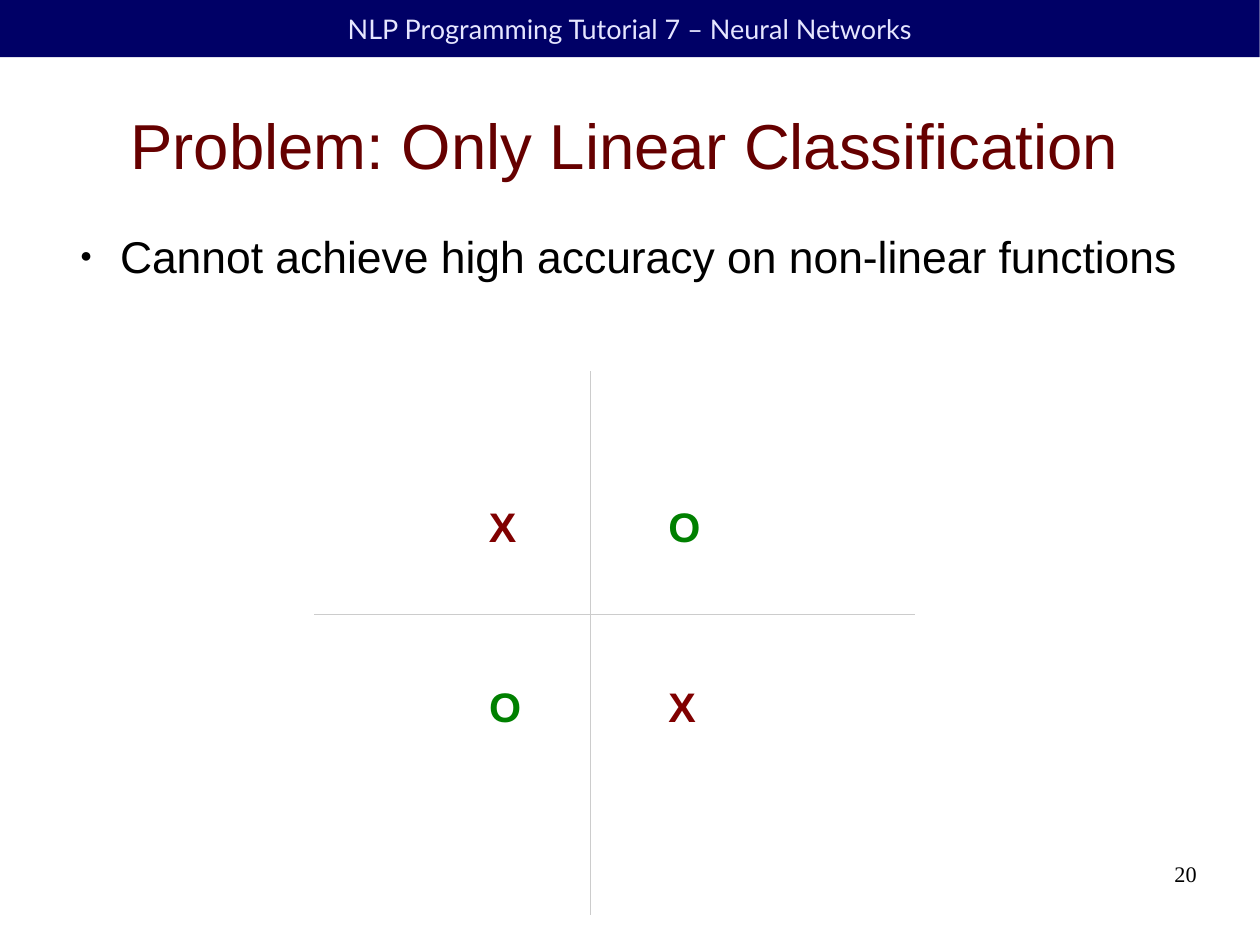
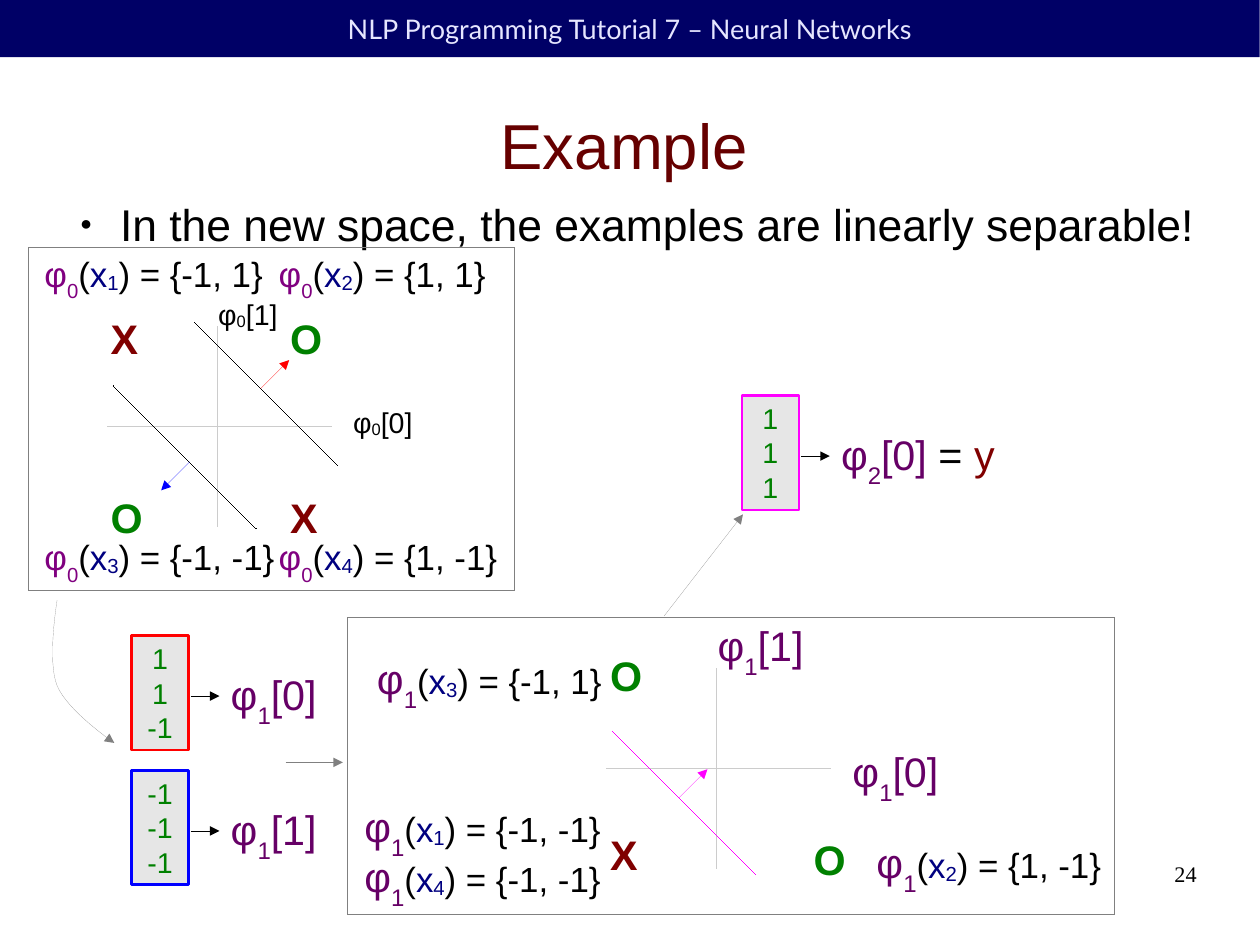
from lxml import etree
from pptx import Presentation
from pptx.dml.color import RGBColor
from pptx.enum.shapes import MSO_CONNECTOR, MSO_SHAPE
from pptx.enum.text import MSO_ANCHOR, MSO_AUTO_SIZE, PP_ALIGN
from pptx.oxml.ns import qn
from pptx.util import Cm, Inches, Pt

# Shared colours and styles
BLACK = RGBColor(0x00, 0x00, 0x00)
NAVY = RGBColor(0x00, 0x00, 0x66)
LAVENDER = RGBColor(0xE6, 0xE6, 0xFF)
MAROON = RGBColor(0x66, 0x00, 0x00)
DARK_RED = RGBColor(0x80, 0x00, 0x00)
GREEN = RGBColor(0x00, 0x80, 0x00)
BLUE_TEXT = RGBColor(0x00, 0x00, 0x80)
PURPLE = RGBColor(0x80, 0x00, 0x80)
PLUM = RGBColor(0x66, 0x00, 0x66)
RED = RGBColor(0xFF, 0x00, 0x00)
BLUE = RGBColor(0x00, 0x00, 0xFF)
MAGENTA = RGBColor(0xFF, 0x00, 0xFF)
GREY = RGBColor(0x80, 0x80, 0x80)
AXIS_GREY = RGBColor(0xCC, 0xCC, 0xCC)
PALE_GREY = RGBColor(0xE6, 0xE6, 0xE6)

LEFT, CENTER, RIGHT = PP_ALIGN.LEFT, PP_ALIGN.CENTER, PP_ALIGN.RIGHT
TOP, MIDDLE = MSO_ANCHOR.TOP, MSO_ANCHOR.MIDDLE
BANNER = "NLP Programming Tutorial 7 – Neural Networks"
SUBSCRIPT, SMALL_INDEX = -33, -8

# Content of the example slide
MARK_COLORS = {"X": DARK_RED, "O": GREEN}
# layer, example, values, left, top
MAPPINGS = [
    (0, 2, "1, 1", 2.34, 2.16), (0, 1, "-1, 1", 0.29, 2.16),
    (0, 4, "1, -1", 2.34, 4.64), (0, 3, "-1, -1", 0.29, 4.64),
    (1, 1, "-1, -1", 3.09, 6.96), (1, 2, "1, -1", 7.57, 7.28),
    (1, 3, "-1, 1", 3.2, 5.67), (1, 4, "-1, -1", 3.09, 7.4),
]
# layer, index, left, top
AXIS_LABELS = [(0, 0, 2.99, 3.49), (0, 1, 1.81, 2.55),
               (1, 0, 7.36, 6.48), (1, 1, 6.18, 5.38)]
# weights, outline, left, top, layer, index, text after the label
NEURONS = [
    (["1", "1", "-1"], RED, 1.15, 5.56, 1, 0, []),
    (["-1", "-1", "-1"], BLUE, 1.15, 6.74, 1, 1, []),
    (["1", "1", "1"], MAGENTA, 6.49, 3.46, 2, 0,
     [(" = ", 26, BLACK, 0), ("y", 26, DARK_RED, 0)]),
]
NEW_SPACE_MARKS = [("X", 5.24, 7.21), ("O", 7.02, 7.25), ("O", 5.24, 5.64)]
# left, top, line colour, arrow colour, direction
BOUNDARIES = [(1.7, 2.82, BLACK, RED, 1), (2.24, 4.62, BLACK, BLUE, -1),
              (5.36, 6.4, MAGENTA, MAGENTA, 1)]
FRAMES = [(0.25, 2.17, 4.25, 3), (3.04, 5.4, 6.71, 2.6)]
FLOW_ARROWS = [(2.5, 6.67, 3, 6.67), (5.81, 5.39, 6.5, 4.5)]
FLOW_CURVE = [
    [(0.5, 5.25), (0.5, 5.25), (0.41, 5.78), (0.5, 6)],
    [(0.5, 6), (0.59, 6.22), (1, 6.5), (1, 6.5)],
]


# Text
def write(shape, lines, font="Arial", align=LEFT, anchor=TOP,
          inset=(0.1, 0.05), wrap=False, bold=False):
    """Fill a shape; each line is a list of (text, size, colour, baseline)."""
    frame = shape.text_frame
    side, edge = map(Inches, inset)
    settings = {"margin_left": side, "margin_right": side, "margin_top": edge,
                "margin_bottom": edge, "word_wrap": wrap,
                "vertical_anchor": anchor, "auto_size": MSO_AUTO_SIZE.NONE}
    for name, value in settings.items():
        setattr(frame, name, value)
    for number, line in enumerate(lines):
        para = frame.add_paragraph() if number else frame.paragraphs[0]
        para.alignment = align
        for text, size, color, baseline in line:
            span = para.add_run()
            span.text = text
            for name, value in {"name": font, "size": Pt(size),
                                "bold": bold}.items():
                setattr(span.font, name, value)
            span.font.color.rgb = color
            if baseline:
                span._r.get_or_add_rPr().set("baseline", str(baseline * 1000))


def add_text(page, at, spans, **style):
    box = page.shapes.add_textbox(*map(Inches, at))
    write(box, [spans], **style)
    return box


def add_mark(page, mark, left, top):
    width = 0.44 if mark == "X" else 0.48
    add_text(page, (left, top, width, 0.5),
             [(mark, 26, MARK_COLORS[mark], 0)], bold=True)


def indexed(layer, index):
    """Spans of a label such as φ1[0]."""
    size, color, drop = ((26, PLUM, SUBSCRIPT) if layer
                         else (18, BLACK, SMALL_INDEX))
    return [("φ", size, color, 0), (str(layer), size, color, drop),
            (f"[{index}]", size, color, 0)]


def add_mapping(page, layer, example, values, left, top):
    size, color = (26, PLUM) if layer else (22, PURPLE)
    spans = [("φ", size, color, 0), (str(layer), size, color, SUBSCRIPT),
             ("(", 22, BLACK, 0), ("x", 22, BLUE_TEXT, 0),
             (str(example), 22, BLUE_TEXT, SMALL_INDEX),
             (f") = {{{values}}}", 22, BLACK, 0)]
    width = 2.01 + 0.1 * values.count("-") + 0.06 * layer
    add_text(page, (left, top, width, 0.59 if layer else 0.54), spans)


# Shapes and lines
def set_line(shape, color, width=0, arrow=False):
    """Draw the outline free of the theme style; width 0 is a hairline."""
    shape._element.remove(shape._element.find(qn("p:style")))
    shape.line.color.rgb = color
    shape.line.width = Pt(width)
    if arrow:
        etree.SubElement(shape.line._get_or_add_ln(), qn("a:tailEnd"),
                         type="triangle")


def add_box(page, at, fill=None, line=None, width=0):
    box = page.shapes.add_shape(MSO_SHAPE.RECTANGLE, *map(Inches, at))
    box.shadow.inherit = False
    if fill is None:
        box.fill.background()
    else:
        box.fill.solid()
        box.fill.fore_color.rgb = fill
    if line is None:
        box.line.fill.background()
    else:
        set_line(box, line, width)
    return box


def add_line(page, ends, color, arrow=False):
    line = page.shapes.add_connector(MSO_CONNECTOR.STRAIGHT,
                                     *map(Inches, ends))
    set_line(line, color, arrow=arrow)
    etree.SubElement(line._element.spPr, qn("a:effectLst"))


def add_axes(page, center_x, center_y, left, right, top, bottom):
    """Cross two axes; the last four values are reaches from the centre."""
    add_line(page, (center_x, center_y - top, center_x, center_y + bottom),
             AXIS_GREY)
    add_line(page, (center_x - left, center_y, center_x + right, center_y),
             AXIS_GREY)


def add_xor_marks(page, left, top, gap=1.57):
    for row, marks in enumerate(["XO", "OX"]):
        for column, mark in enumerate(marks):
            add_mark(page, mark, left + column * gap, top + row * gap)


def add_boundary(page, x, y, color, arrow_color, sign):
    """A diagonal line with an arrow pointing to its positive side."""
    reach, foot, tip = 1.25 * sign, 0.58 * sign, 0.25 * sign
    add_line(page, (x, y, x + reach, y + reach), color)
    add_line(page, (x + foot, y + foot, x + foot + tip, y + foot - tip),
             arrow_color, arrow=True)


def add_neuron(page, weights, outline, left, top, layer, index, extra):
    box = add_box(page, (left, top, 0.5, 1), PALE_GREY, outline, 1.45)
    write(box, [[(weight, 18, GREEN, 0)] for weight in weights],
          align=CENTER, anchor=MIDDLE, inset=(0.11, 0.06))
    add_line(page, (left + 0.52, top + 0.53, left + 0.77, top + 0.53),
             BLACK, arrow=True)
    add_text(page, (left + 0.77, top + 0.25, 1.54 if extra else 0.95, 0.62),
             indexed(layer, index) + extra)


def add_curve(page, pieces, color, steps=16):
    points = []
    for a, b, c, d in pieces:
        for step in range(steps + 1):
            t = step / steps
            u = 1 - t
            points.append(tuple(
                Inches(u**3 * p + 3 * u * u * t * q + 3 * u * t * t * r
                       + t**3 * s) for p, q, r, s in zip(a, b, c, d)))
    builder = page.shapes.build_freeform(*points[0])
    builder.add_line_segments(points[1:], close=False)
    curve = builder.convert_to_shape()
    curve.shadow.inherit = False
    curve.fill.background()
    set_line(curve, color, arrow=True)


# Slide frame: banner, title, bullet and number
def add_page(deck, title, bullet, bullet_top, number):
    page = deck.slides.add_slide(deck.slide_layouts[5])
    banner = add_box(page, (0, 0, 11.02, 0.5), NAVY)
    write(banner, [[(BANNER, 17, LAVENDER, 0)]], font="Lato",
          align=CENTER, anchor=MIDDLE, wrap=True)

    heading = page.shapes.title
    for name, value in {"left": 0.5, "top": 0.63, "width": 9.92,
                        "height": 1.27}.items():
        setattr(heading, name, Inches(value))
    write(heading, [[(title, 40, MAROON, 0)]], align=CENTER, anchor=MIDDLE,
          inset=(0, 0), wrap=True)

    body = add_text(page, (0.58, bullet_top, 9.92, 0.43),
                    [(bullet, 28, BLACK, 0)], inset=(0, 0), wrap=True)
    para = body.text_frame.paragraphs[0]
    props = para._p.get_or_add_pPr()
    props.set("marL", str(Inches(0.47)))
    props.set("indent", str(Inches(-0.35)))
    color = etree.SubElement(props, qn("a:buClr"))
    etree.SubElement(color, qn("a:srgbClr"), val=str(BLACK))
    etree.SubElement(props, qn("a:buSzPct"), val="45000")
    etree.SubElement(props, qn("a:buFont"), typeface="Arial")
    etree.SubElement(props, qn("a:buChar"), char="●")
    para.space_after = Pt(14.2)

    add_text(page, (7.9, 7.53, 2.57, 0.57), [(str(number), 14, BLACK, 0)],
             font="Times New Roman", align=RIGHT, inset=(0, 0), wrap=True)
    return page


def build_problem(deck):
    page = add_page(deck, "Problem: Only Linear Classification",
                    "Cannot achieve high accuracy on non-linear functions",
                    2, 20)
    add_xor_marks(page, 4.18, 4.34)
    add_axes(page, 5.17, 5.38, 2.42, 2.83, 2.13, 2.62)


def build_example(deck):
    page = add_page(deck, "Example",
                    "In the new space, the examples are linearly separable!",
                    1.72, 24)
    add_xor_marks(page, 0.87, 2.69)
    for center in [(1.9, 3.73), (6.27, 6.72)]:
        add_axes(page, *center, 0.96, 1, 0.87, 0.88)
    for mapping in MAPPINGS:
        add_mapping(page, *mapping)
    for layer, index, left, top in AXIS_LABELS:
        size = (0.95, 0.59) if layer else (0.72, 0.46)
        add_text(page, (left, top, *size), indexed(layer, index))
    for mark in NEW_SPACE_MARKS:
        add_mark(page, *mark)
    for frame in FRAMES:
        add_box(page, frame, line=GREY)
    for boundary in BOUNDARIES:
        add_boundary(page, *boundary)
    for neuron in NEURONS:
        add_neuron(page, *neuron)
    add_curve(page, FLOW_CURVE, GREY)
    for ends in FLOW_ARROWS:
        add_line(page, ends, GREY, arrow=True)


def main():
    deck = Presentation()
    deck.slide_width = Cm(28)
    deck.slide_height = Cm(21)
    build_problem(deck)
    build_example(deck)
    deck.save("out.pptx")


if __name__ == "__main__":
    main()
